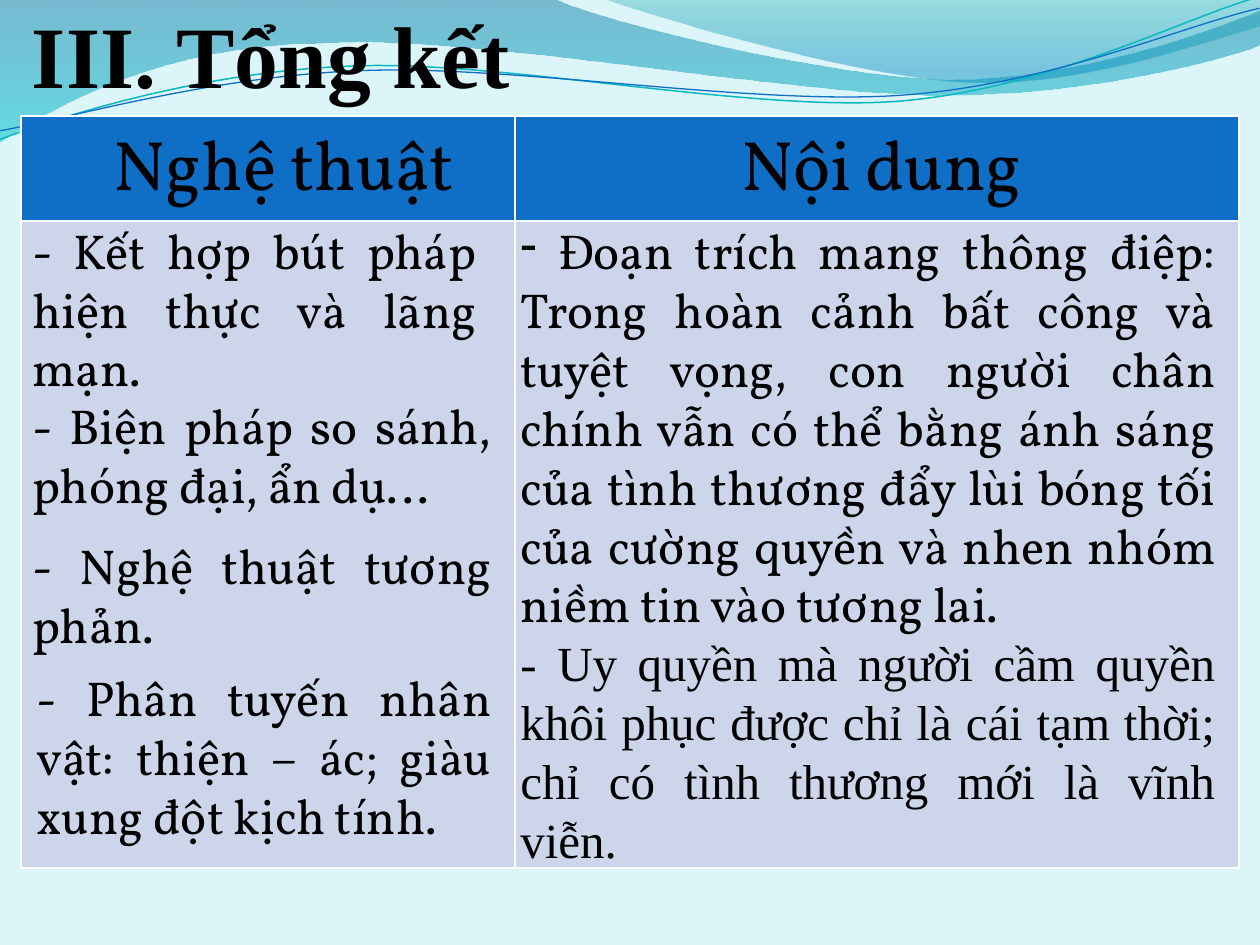
from lxml import etree
from pptx import Presentation
from pptx.dml.color import RGBColor
from pptx.enum.text import MSO_ANCHOR, MSO_AUTO_SIZE, PP_ALIGN
from pptx.oxml.ns import qn
from pptx.util import Pt

PX = 914400 / 126
TOP, MIDDLE, BOTTOM = MSO_ANCHOR.TOP, MSO_ANCHOR.MIDDLE, MSO_ANCHOR.BOTTOM
LEFT, CENTER, JUSTIFY = PP_ALIGN.LEFT, PP_ALIGN.CENTER, PP_ALIGN.JUSTIFY
TITLE_ONLY = 5
FIRST_WAVE_ID = 20

THEME = {
    "background": "DBF5F9", "ink": "000000", "header": "0F6FC6", "body": "CCD5EA",
    "serif": "Times New Roman", "text": "Vollkorn",
    "title_size": 50, "header_size": 40, "body_size": 28,
}

# Content: text and box (left, top, width, height) in px
TITLE = ("III. Tổng kết", (32, -26, 1134, 132))
HEADERS = [
    ("Nghệ thuật", (11, 131, 546, 63)),
    ("Nội dung", (577, 131, 609, 63)),
]
ART_POINTS = [
    ("- Kết hợp bút pháp hiện thực và lãng mạn.", (20, 219, 469, 179)),
    ("- Biện pháp so sánh, phóng đại, ẩn dụ...", (20, 398, 484, 113)),
    ("- Nghệ thuật tương phản.", (20, 510, 484, 168)),
    ("- Phân tuyến nhân vật: thiện – ác; giàu xung đột kịch tính.", (24, 635, 480, 242)),
]
MESSAGE = (
    " Đoạn trích mang thông điệp: Trong hoàn cảnh bất công và tuyệt vọng, "
    "con người chân chính vẫn có thể bằng ánh sáng của tình thương đẩy lùi "
    "bóng tối của cường quyền và nhen nhóm niềm tin vào tương lai."
)
POWER = (
    "- Uy quyền mà người cầm quyền khôi phục được chỉ là cái tạm thời; "
    "chỉ có tình thương mới là vĩnh viễn."
)
CONTENT_BOX = (508, 219, 720, 708)
TABLE = {"at": (21, 116), "columns": (494, 724), "rows": (105, 647)}

# Header waves: a pair is a straight step, six numbers are a Bézier step
BANDS = [
    ([(0, 0), (554, -1), (600, 21, 837, 79, 955, 79), (1074, 79, 1207, 33, 1260, 11),
      (1261, 45), (1239, 55, 1096, 96, 940, 95), (784, 95, 481, 35, 324, 43),
      (161, 45, 58, 105, -1, 142), (0, 0)],
     [(0, "0074A1", 45), (100, "00C6CF", 55)]),
    ([(604, -1), (642, 14, 859, 78, 969, 82), (1079, 87, 1211, 40, 1260, 26),
      (1260, 0), (604, -1)],
     [(0, "00A1A9", 30), (80, "008BBF", 45)]),
]
STRAND_ROTATION = 357.3
STRANDS = [
    ([(-3, 110), (58, 90, 199, 52, 350, 53), (499, 53, 745, 118, 896, 114),
      (1048, 109, 1184, 45, 1260, 27)], "0AB8BF", 0.85),
    ([(-2, 101), (57, 94, 207, 57, 357, 58), (509, 58, 750, 112, 902, 108),
      (1052, 104, 1183, 52, 1262, 38)], "0F6FC6", 0.75),
]


def px(value):
    return round(value * PX)


def color(value):
    return RGBColor.from_string(value)


def add_outline(page, steps, close):
    """Lay every point as a straight step, then join each Bézier triple."""
    points = [(px(x), px(y)) for step in steps for x, y in zip(step[::2], step[1::2])]
    builder = page.shapes.build_freeform(*points[0], scale=1.0)
    builder.add_line_segments(points[1:], close=close)
    shape = builder.convert_to_shape()
    shape.shadow.inherit = False
    lines = list(shape.element.iter(qn("a:lnTo")))
    for step in steps[1:]:
        group, lines = lines[:len(step) // 2], lines[len(step) // 2:]
        if len(group) == 3:
            curve = etree.Element(qn("a:cubicBezTo"))
            group[0].addprevious(curve)
            for line in group:
                curve.append(line[0])
                line.getparent().remove(line)
    return shape


def add_band(page, steps, stops):
    shape = add_outline(page, steps, True)
    shape.line.fill.background()
    shape.fill.gradient()
    shape.fill.gradient_angle = 270
    for stop, (position, value, _) in zip(shape.fill.gradient_stops, stops):
        stop.position = position / 100
        stop.color.rgb = color(value)
    nodes = shape.element.spPr.iter(qn("a:srgbClr"))
    for node, (_, _, opacity) in zip(nodes, stops):
        etree.SubElement(node, qn("a:alpha"), val=str(opacity * 1000))
    return shape


def add_strand(page, steps, value, width):
    shape = add_outline(page, steps, False)
    shape.fill.background()
    shape.line.color.rgb = color(value)
    shape.line.width = Pt(width)
    shape.rotation = STRAND_ROTATION
    return shape


def move_to_master(deck, shapes):
    """Put the waves behind the placeholders of the slide master."""
    first = deck.slide_master.placeholders[0].element
    for number, shape in enumerate(shapes, FIRST_WAVE_ID):
        shape.element.nvSpPr.cNvPr.set("id", str(number))
        first.addprevious(shape.element)


def place(shape, box):
    shape.left, shape.top, shape.width, shape.height = map(px, box)


def write(para, text, size, font=THEME["text"], bold=False, align=JUSTIFY, bullet=None):
    para.alignment = align
    span = para.add_run()
    span.text = text
    span.font.name, span.font.size, span.font.bold = font, Pt(size), bold
    span.font.color.rgb = color(THEME["ink"])
    if bullet:
        properties = para._p.get_or_add_pPr()
        properties.set("marL", "0")
        properties.set("indent", "0")
        etree.SubElement(properties, qn("a:buFontTx"))
        etree.SubElement(properties, qn("a:buChar"), char=bullet)


def add_box(page, box, anchor=MIDDLE):
    frame = page.shapes.add_textbox(*map(px, box)).text_frame
    frame.word_wrap = True
    frame.vertical_anchor = anchor
    return frame


def add_grid(page):
    """The default table style supplies the white rules."""
    columns, rows = TABLE["columns"], TABLE["rows"]
    box = (*TABLE["at"], sum(columns), sum(rows))
    table = page.shapes.add_table(len(rows), len(columns), *map(px, box)).table
    for column, width in zip(table.columns, columns):
        column.width = px(width)
    for row, height, fill in zip(table.rows, rows, (THEME["header"], THEME["body"])):
        row.height = px(height)
        for cell in row.cells:
            cell.fill.solid()
            cell.fill.fore_color.rgb = color(fill)


def main():
    deck = Presentation()
    deck.slide_width, deck.slide_height = px(1260), px(945)
    page = deck.slides.add_slide(deck.slide_layouts[TITLE_ONLY])
    page.background.fill.solid()
    page.background.fill.fore_color.rgb = color(THEME["background"])

    # Waves
    waves = [add_band(page, *band) for band in BANDS]
    waves += [add_strand(page, *strand) for strand in STRANDS]
    move_to_master(deck, waves)

    # Title
    title = page.shapes.title
    text, box = TITLE
    place(title, box)
    frame = title.text_frame
    frame.auto_size = MSO_AUTO_SIZE.NONE
    frame.vertical_anchor = BOTTOM
    frame.margin_left = frame.margin_right = frame.margin_bottom = 0
    write(frame.paragraphs[0], text, THEME["title_size"], font=THEME["serif"], bold=True, align=LEFT)

    # Table and the text over it
    add_grid(page)
    for text, box in HEADERS:
        write(add_box(page, box).paragraphs[0], text, THEME["header_size"], align=CENTER)
    for text, box in ART_POINTS:
        write(add_box(page, box).paragraphs[0], text, THEME["body_size"])
    frame = add_box(page, CONTENT_BOX, anchor=TOP)
    frame.margin_top = px(2)
    write(frame.paragraphs[0], MESSAGE, THEME["body_size"], bullet="-")
    write(frame.add_paragraph(), POWER, THEME["body_size"], font=THEME["serif"])

    deck.save("out.pptx")


if __name__ == "__main__":
    main()
